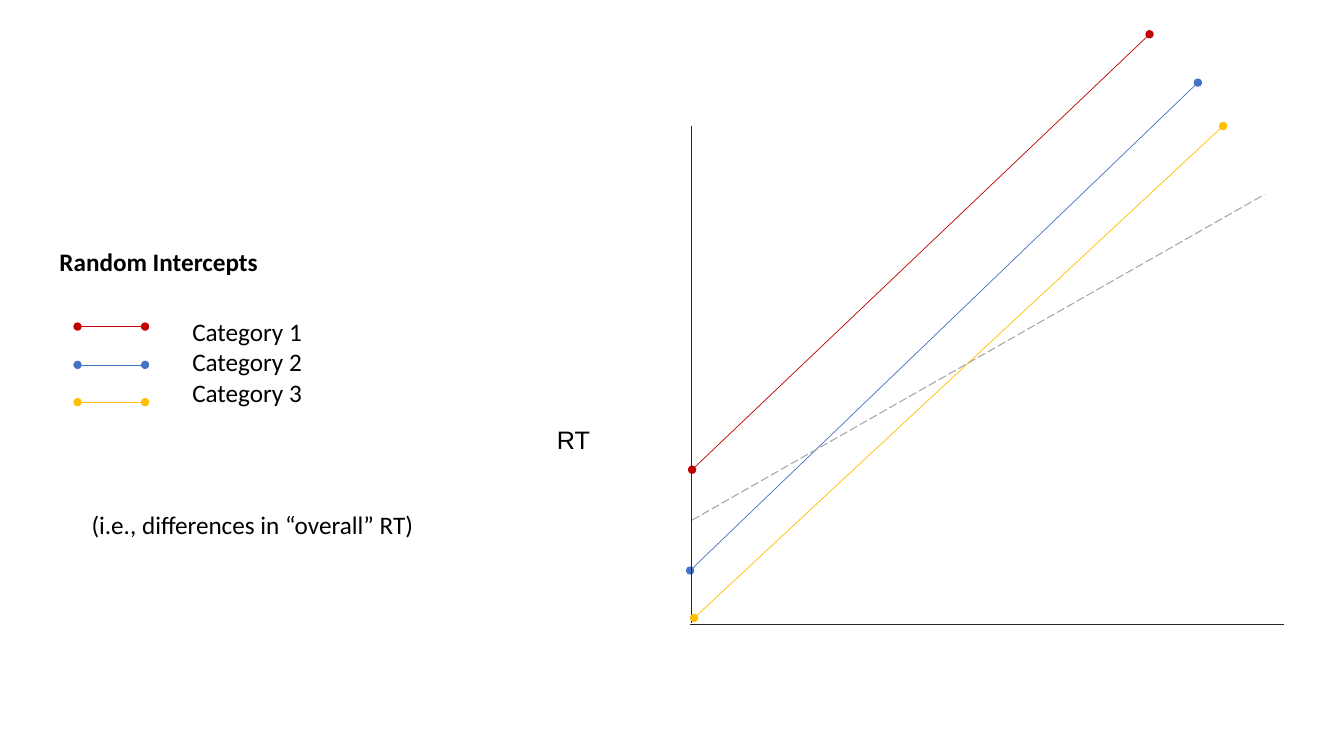
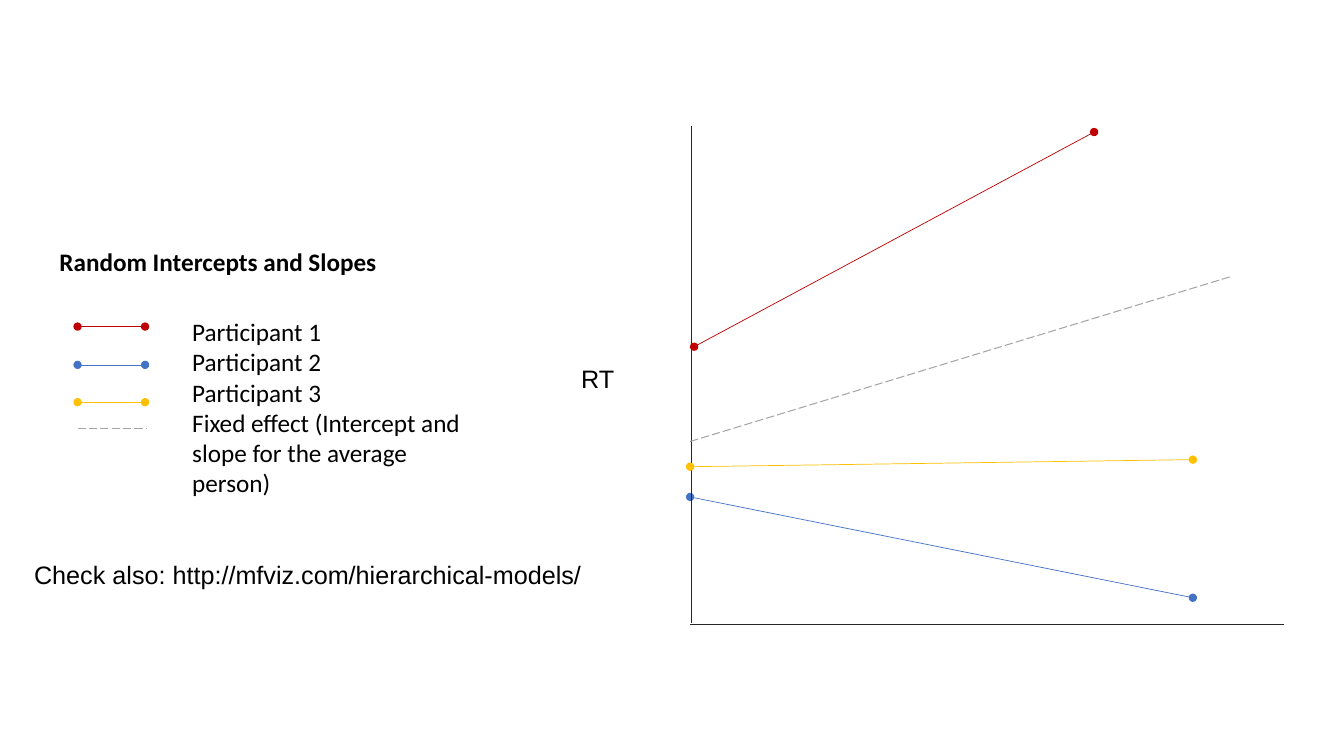
from lxml import etree
from pptx import Presentation
from pptx.dml.color import RGBColor
from pptx.enum.dml import MSO_LINE
from pptx.enum.shapes import MSO_CONNECTOR
from pptx.enum.text import MSO_ANCHOR, MSO_AUTO_SIZE, PP_ALIGN
from pptx.oxml.ns import qn
from pptx.util import Inches, Pt

STRAIGHT = MSO_CONNECTOR.STRAIGHT
LONG_DASH = MSO_LINE.LONG_DASH
TOP, LEFT, NO_FIT = MSO_ANCHOR.TOP, PP_ALIGN.LEFT, MSO_AUTO_SIZE.NONE
TITLE_ONLY = 5

# Shared styles
LINES = {
    "axis": dict(color="262626", width=0.5, dots=False, dash=None),
    "red": dict(color="C00000", width=0.5, dots=True, dash=None),
    "blue": dict(color="4472C4", width=0.5, dots=True, dash=None),
    "yellow": dict(color="FFC000", width=0.5, dots=True, dash=None),
    "fixed": dict(color="A5A5A5", width=0.75, dots=False, dash=LONG_DASH),
}
TITLE = dict(name="Calibri", size=Pt(18), bold=True)
BODY = dict(name="Calibri", size=Pt(18), bold=False)
LABEL = dict(name="Arial", size=Pt(18), bold=False)

# Shared places: left, top, width, height or x1, y1, x2, y2
TITLE_BOX = (0.49, 2.39, 5.63, 0.7)
AXES = [(6.86, 1.25, 6.86, 6.18), (12.74, 6.19, 6.85, 6.19)]
KEYS = {
    "red": (0.77, 3.24, 1.44, 3.24),
    "blue": (0.77, 3.62, 1.44, 3.62),
    "yellow": (0.77, 3.99, 1.44, 3.99),
    "fixed": (0.77, 4.25, 1.46, 4.25),
}

# Content
SLIDES = [
    dict(
        title="Random Intercepts",
        behind_axes={"blue": (6.85, 5.66, 11.89, 0.82)},
        series={
            "yellow": (6.89, 6.13, 12.14, 1.25),
            "red": (6.87, 4.66, 11.41, 0.34),
            "fixed": (6.87, 5.16, 12.55, 1.93),
        },
        legend=["Category 1", "Category 2", "Category 3"],
        legend_box=(1.81, 3.09, 2.68, 1),
        notes=[
            ("(i.e., differences in “overall” RT)", (0.81, 5, 3.81, 0.4), BODY),
            ("RT", (5.43, 4.17, 1.18, 0.38), LABEL),
        ],
    ),
    dict(
        title="Random Intercepts and Slopes",
        behind_axes={"blue": (6.85, 4.93, 11.84, 5.93)},
        series={
            "yellow": (6.85, 4.63, 11.84, 4.56),
            "red": (6.89, 3.44, 10.86, 1.31),
            "fixed": (6.85, 4.38, 12.23, 2.74),
        },
        legend=["Participant 1", "Participant 2", "Participant 3",
                "Fixed effect (Intercept and slope for the average person)"],
        legend_box=(1.81, 3.09, 3.03, 1.9),
        notes=[
            ("RT", (5.67, 3.56, 1.18, 0.38), LABEL),
            ("Check also: http://mfviz.com/hierarchical-models/",
             (0.24, 5.51, 6.3, 0.38), LABEL),
        ],
    ),
]


def rgb(color):
    return RGBColor.from_string(color)


def add_line(s, ends, style):
    look = LINES[style]
    cxn = s.shapes.add_connector(STRAIGHT, *map(Inches, ends))
    cxn.line.color.rgb = rgb(look["color"])
    cxn.line.width = Pt(look["width"])
    if look["dash"]:
        cxn.line.dash_style = look["dash"]
    sp_pr = cxn._element.spPr
    if look["dots"]:
        for tag in ("a:headEnd", "a:tailEnd"):
            etree.SubElement(sp_pr.find(qn("a:ln")), qn(tag), type="oval")
    etree.SubElement(sp_pr, qn("a:effectLst"))


def fill_text(sp, lines, font):
    tf = sp.text_frame
    tf.word_wrap, tf.auto_size, tf.vertical_anchor = True, NO_FIT, TOP
    tf.margin_top = Inches(0.07 if font is LABEL else 0.05)
    tf.text = "\n".join(lines)
    for p in tf.paragraphs:
        p.alignment = LEFT
        p.line_spacing = 0.93 if font is LABEL else 1.0
        for r in p.runs:
            for key, value in font.items():
                setattr(r.font, key, value)
            r.font.color.rgb = rgb("000000")


def add_text(s, lines, box, font):
    fill_text(s.shapes.add_textbox(*map(Inches, box)), lines, font)


def build_slide(prs, data):
    s = prs.slides.add_slide(prs.slide_layouts[TITLE_ONLY])

    # Title
    title = s.shapes.title
    title.left, title.top, title.width, title.height = map(Inches, TITLE_BOX)
    fill_text(title, [data["title"]], TITLE)

    # Plot
    for style, ends in data["behind_axes"].items():
        add_line(s, ends, style)
    for ends in AXES:
        add_line(s, ends, "axis")
    for style, ends in data["series"].items():
        add_line(s, ends, style)

    # Legend: one key for each entry
    for (style, ends), _ in zip(KEYS.items(), data["legend"]):
        add_line(s, ends, style)
    add_text(s, data["legend"], data["legend_box"], BODY)

    # Axis label and remark
    for text, box, font in data["notes"]:
        add_text(s, [text], box, font)


def main():
    prs = Presentation()
    prs.slide_width, prs.slide_height = Inches(13.34), Inches(7.5)
    for data in SLIDES:
        build_slide(prs, data)
    prs.save("out.pptx")


if __name__ == "__main__":
    main()
